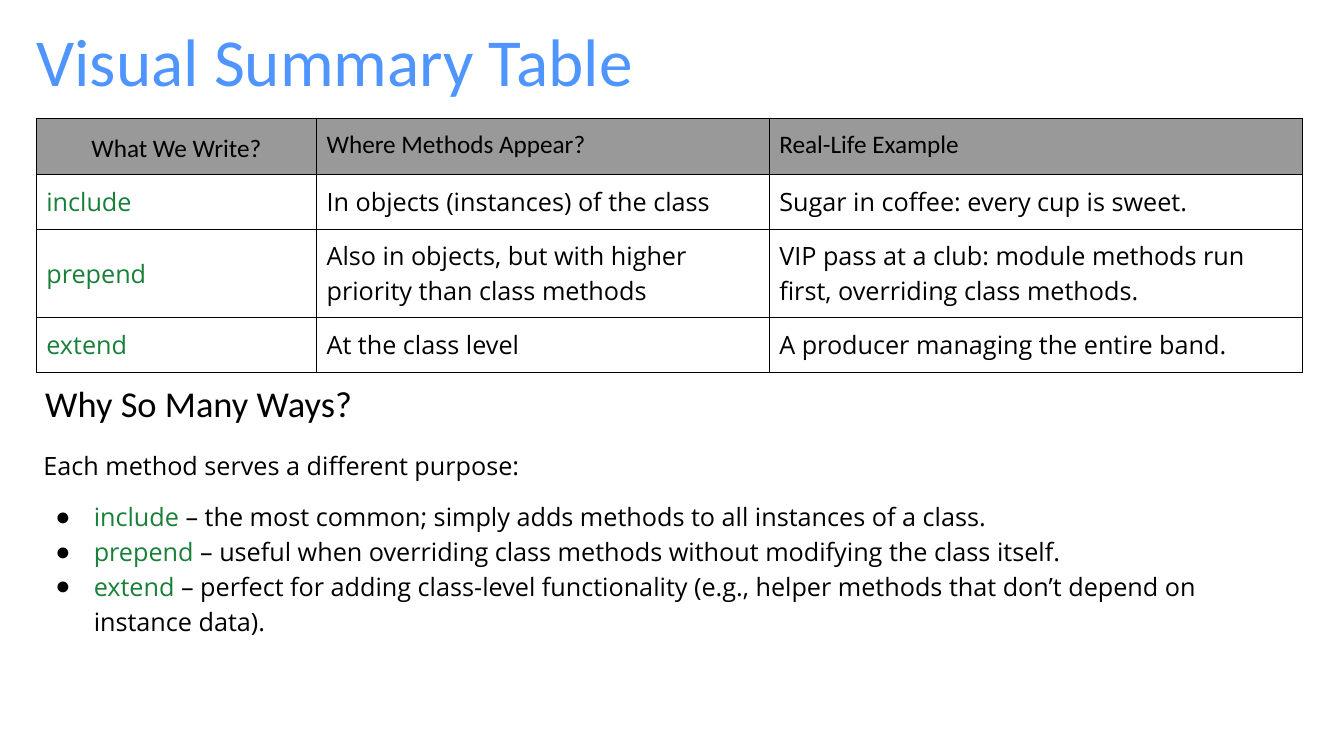
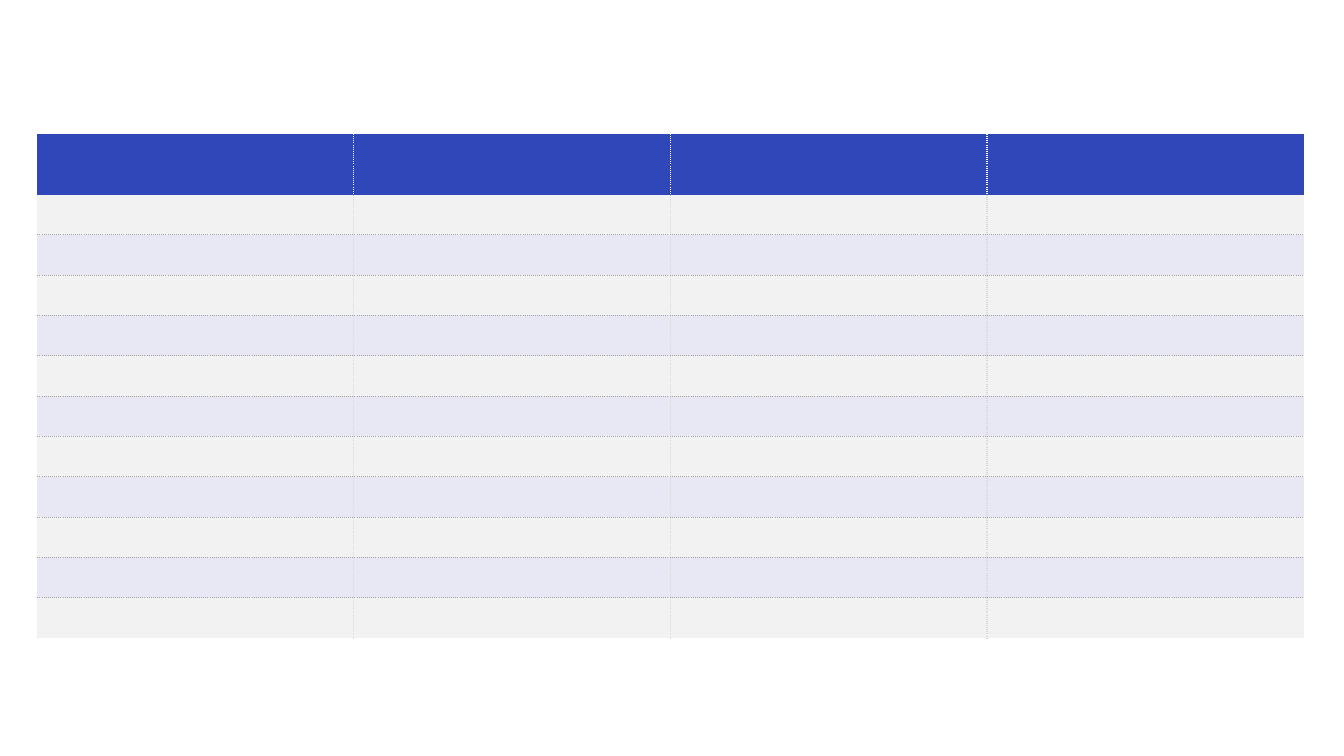
from lxml.etree import SubElement
from pptx import Presentation
from pptx.dml.color import RGBColor
from pptx.enum.text import MSO_ANCHOR, MSO_AUTO_SIZE, PP_ALIGN
from pptx.oxml.ns import qn
from pptx.util import Inches, Pt

BLACK = RGBColor(0x00, 0x00, 0x00)
WHITE = RGBColor(0xFF, 0xFF, 0xFF)
TITLE_BLUE = RGBColor(0x4F, 0x95, 0xFF)
CODE_GREEN = RGBColor(0x18, 0x80, 0x38)
HEADER_GRAY = RGBColor(0x99, 0x99, 0x99)
HEADER_BLUE = RGBColor(0x30, 0x47, 0xB9)
BAND_GRAY = RGBColor(0xF2, 0xF2, 0xF2)
BAND_LILAC = RGBColor(0xE7, 0xE8, 0xF3)
COLUMN_LINE = RGBColor(0xD8, 0xD8, 0xD8)
ROW_LINE = RGBColor(0xA5, 0xA5, 0xA5)
HEADING_FONT = "Calibri"
BODY_FONT = "Open Sans"
LEFT = Inches(0.36)
MARGIN = Inches(0.1)


def add_span(para, text, size, font, color):
    span = para.add_run()
    span.text = text
    span.font.size = Pt(size)
    span.font.name = font
    span.font.color.rgb = color


def style_cell(cell, borders, width, dash, fill):
    """Borders are the colours of the left, right, top and bottom; None hides one."""
    properties = cell._tc.get_or_add_tcPr()
    for side, color in zip("LRTB", borders):
        line = SubElement(properties, qn(f"a:ln{side}"), w=str(Pt(width)))
        if color is None:
            SubElement(line, qn("a:noFill"))
            continue
        solid = SubElement(line, qn("a:solidFill"))
        SubElement(solid, qn("a:srgbClr"), val=str(color))
        SubElement(line, qn("a:prstDash"), val=dash)
    if fill is None:
        cell.fill.background()
    else:
        cell.fill.solid()
        cell.fill.fore_color.rgb = fill


deck = Presentation()
deck.slide_width = Inches(13.33)
deck.slide_height = Inches(7.5)

# Slide 1: title
page = deck.slides.add_slide(deck.slide_layouts[1])
title = page.shapes.title
title.left, title.top = LEFT, Inches(0.38)
title.width, title.height = Inches(12.56), Inches(0.62)
frame = title.text_frame
frame.auto_size = MSO_AUTO_SIZE.NONE
frame.margin_left = 0
para = frame.paragraphs[0]
para.alignment = PP_ALIGN.LEFT
para.line_spacing = 0.7
add_span(para, "Visual Summary Table", 48, HEADING_FONT, TITLE_BLUE)

# Blank one-cell table at the corner
corner = page.shapes.add_table(
    1, 1, Inches(0.33), Inches(0.33), Inches(0.02), Inches(0.02)).table
corner.first_row = corner.horz_banding = False
style_cell(corner.cell(0, 0), [None] * 4, 0.75, "solid", None)

# Summary table; rows grow to fit their text
summary_rows = [
    ("What We Write?", "Where Methods Appear?", "Real-Life Example"),
    ("include", "In objects (instances) of the class",
     "Sugar in coffee: every cup is sweet."),
    ("prepend", "Also in objects, but with higher priority than class methods",
     "VIP pass at a club: module methods run first, overriding class methods."),
    ("extend", "At the class level", "A producer managing the entire band."),
]
column_widths = [2.78, 4.49, 5.29]
row_heights = [0.42, 0.42, 0.11, 0.42]
table = page.shapes.add_table(
    len(summary_rows), len(column_widths), LEFT, Inches(1.18),
    Inches(sum(column_widths)), Inches(sum(row_heights))).table
table.first_row = table.horz_banding = False
for column, width in zip(table.columns, column_widths):
    column.width = Inches(width)
for row_index, texts in enumerate(summary_rows):
    table.rows[row_index].height = Inches(row_heights[row_index])
    is_header = row_index == 0
    for column_index, text in enumerate(texts):
        cell = table.cell(row_index, column_index)
        style_cell(cell, [BLACK] * 4, 0.75, "solid", HEADER_GRAY if is_header else None)
        cell.margin_left = cell.margin_right = MARGIN
        cell.margin_top = cell.margin_bottom = MARGIN
        para = cell.text_frame.paragraphs[0]
        if is_header:
            add_span(para, text, 18, HEADING_FONT, BLACK)
        else:
            color = CODE_GREEN if column_index == 0 else BLACK
            add_span(para, text, 18, BODY_FONT, color)
            if column_index < 2:
                cell.vertical_anchor = MSO_ANCHOR.MIDDLE
first_header = table.cell(0, 0).text_frame.paragraphs[0]
first_header.alignment = PP_ALIGN.CENTER
first_header.line_spacing = 1.15

# Subheading
box = page.shapes.add_textbox(Inches(0.35), Inches(3.68), Inches(9.69), Inches(0.64))
frame = box.text_frame
frame.word_wrap = True
frame.margin_left = frame.margin_right = frame.margin_top = frame.margin_bottom = MARGIN
add_span(frame.paragraphs[0], "Why So Many Ways?", 26, HEADING_FONT, BLACK)

# Purpose list
purposes = [
    ("include", " – the most common; simply adds methods to all instances of a class."),
    ("prepend", " – useful when overriding class methods without modifying the class itself."),
    ("extend", " – perfect for adding class-level functionality "
               "(e.g., helper methods that don’t depend on instance data)."),
]
body = page.placeholders[1]
body.left, body.top = Inches(0.33), Inches(4.32)
body.width, body.height = Inches(11.96), Inches(2.07)
frame = body.text_frame
frame.auto_size = MSO_AUTO_SIZE.NONE
frame.margin_left = frame.margin_right = frame.margin_top = frame.margin_bottom = MARGIN
para = frame.paragraphs[0]
properties = para._p.get_or_add_pPr()
properties.set("marL", "0")
properties.set("indent", "0")
SubElement(properties, qn("a:buNone"))
para.line_spacing = 1.15
para.space_before = Pt(0)
add_span(para, "Each method serves a different purpose:", 18, BODY_FONT, BLACK)
for index, (method, purpose) in enumerate(purposes):
    para = frame.add_paragraph()
    properties = para._p.get_or_add_pPr()
    properties.set("marL", str(Inches(0.5)))
    properties.set("indent", str(Inches(-0.38)))
    bullet_color = SubElement(properties, qn("a:buClr"))
    SubElement(bullet_color, qn("a:srgbClr"), val=str(BLACK))
    SubElement(properties, qn("a:buFont"), typeface="Arial")
    SubElement(properties, qn("a:buChar"), char="●")
    para.line_spacing = 1.15
    para.space_before = Pt(12 if index == 0 else 0)
    add_span(para, method, 18, BODY_FONT, CODE_GREEN)
    add_span(para, purpose, 18, BODY_FONT, BLACK)

# Slide 2: empty banded table
page = deck.slides.add_slide(deck.slide_layouts[6])
row_count, column_count = 12, 4
header_height, row_height, column_width = 0.6, 0.4, 3.14
table = page.shapes.add_table(
    row_count, column_count, Inches(0.37), Inches(1.33),
    Inches(column_count * column_width),
    Inches(header_height + (row_count - 1) * row_height)).table
table.horz_banding = False
for column in table.columns:
    column.width = Inches(column_width)
for row_index, row in enumerate(table.rows):
    is_header = row_index == 0
    row.height = Inches(header_height if is_header else row_height)
    if is_header:
        fill, divider = HEADER_BLUE, WHITE
    else:
        fill, divider = (BAND_GRAY if row_index % 2 else BAND_LILAC), COLUMN_LINE
    for column_index, cell in enumerate(row.cells):
        borders = [
            divider if column_index > 0 else None,
            divider if column_index < column_count - 1 else None,
            ROW_LINE if row_index > 1 else None,
            ROW_LINE if 0 < row_index < row_count - 1 else None,
        ]
        style_cell(cell, borders, 1, "dot", fill)
        cell.margin_top = cell.margin_bottom = 0

deck.save("out.pptx")
